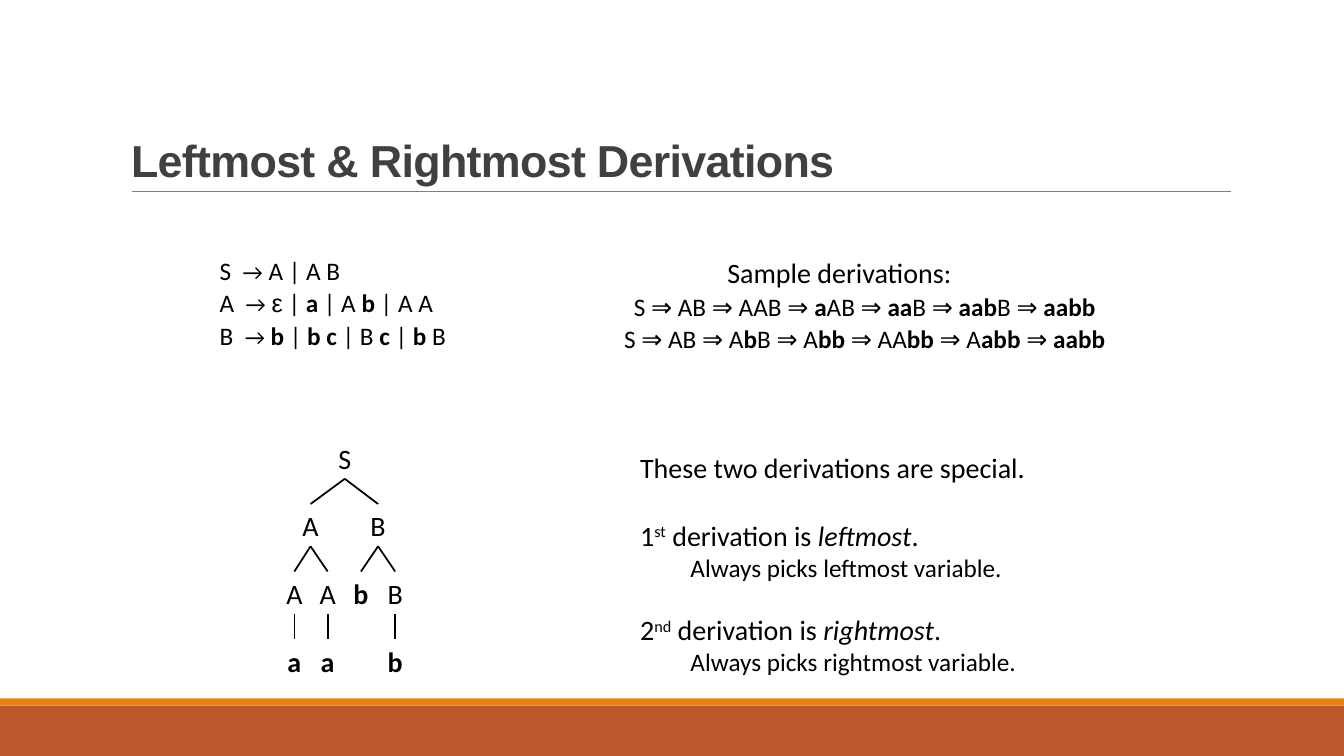
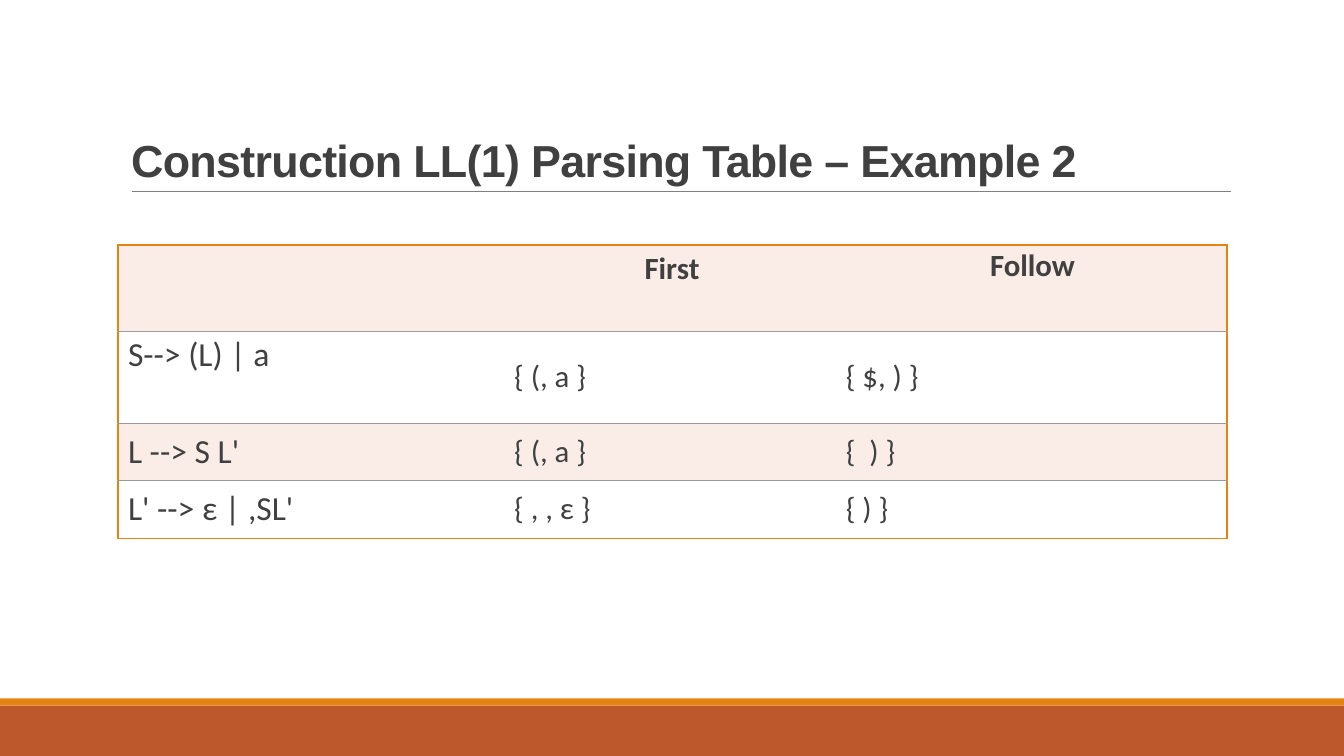
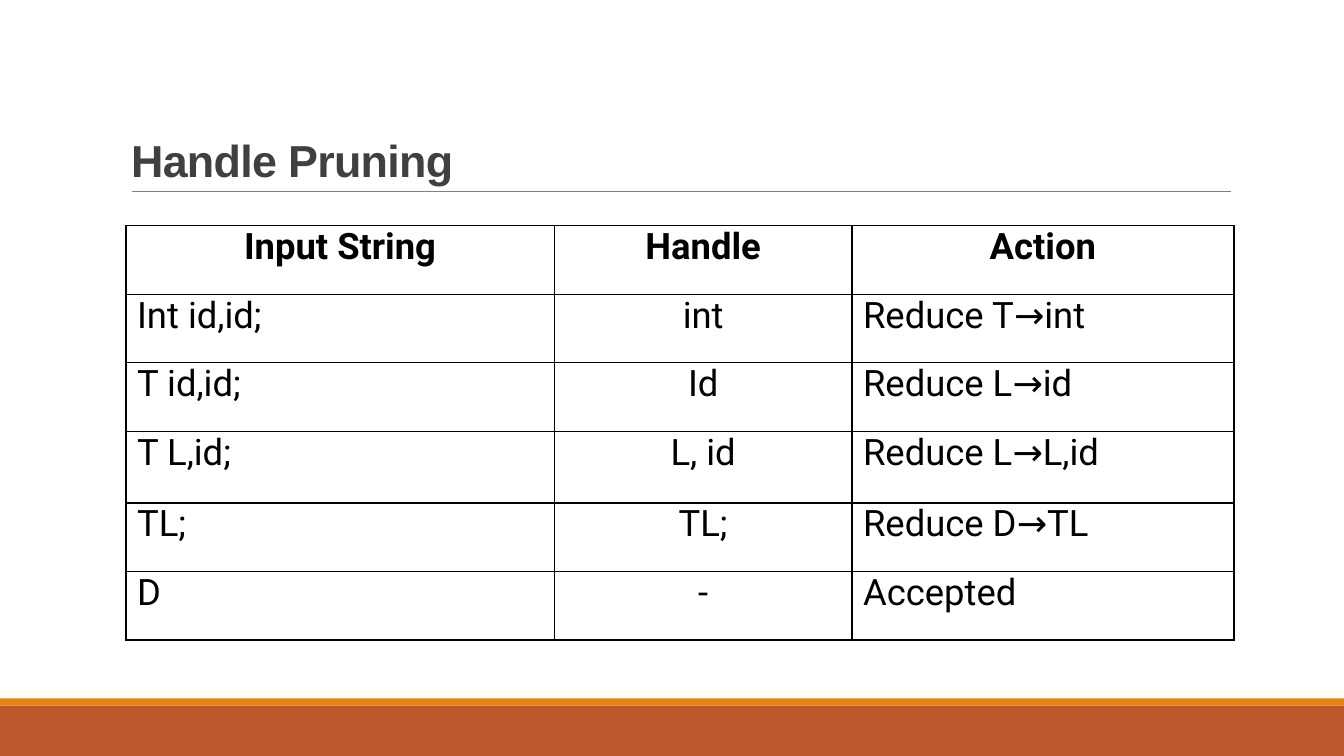
import dataclasses
import typing

import lxml.etree
import pptx
import pptx.dml.color
import pptx.enum.shapes
import pptx.enum.text
import pptx.oxml.ns
import pptx.util

EMU_PER_PX = 9144
PAGE_WIDTH, PAGE_HEIGHT = 1333, 750
BLACK, DARK, GRAY, WHITE = "000000", "404040", "808080", "FFFFFF"
ORANGE, RUST, BLUSH, RULE = "E48312", "BD582C", "FAEDE7", "9B9B9B"
LEFT = pptx.enum.text.PP_ALIGN.LEFT
CENTER = pptx.enum.text.PP_ALIGN.CENTER
TOP = pptx.enum.text.MSO_ANCHOR.TOP
MIDDLE = pptx.enum.text.MSO_ANCHOR.MIDDLE
MARKS = {
    "*": {"bold": True},
    "_": {"italic": True},
    "^": {"raised": True},
    "~": {"size": 16},
    "@": {"font": "Arial"},
}


@dataclasses.dataclass(frozen=True)
class Line:
    text: str
    size: int = 18
    indent: int = 0
    before: float = 0


@dataclasses.dataclass(frozen=True)
class Node:
    text: str
    column: int
    row: int
    parent: typing.Optional[int] = None


@dataclasses.dataclass(frozen=True)
class Cell:
    text: str = ""
    size: int = 22
    anchor: typing.Any = MIDDLE
    align: typing.Any = LEFT
    side: int = 8
    top: int = 5


TREE = [
    Node("S", 0, 0),
    Node("A", -2, 1, 0),
    Node("B", 2, 1, 0),
    Node("A", -3, 2, 1),
    Node("A", -1, 2, 1),
    Node("*b*", 1, 2, 2),
    Node("B", 3, 2, 2),
    Node("*a*", -3, 3, 3),
    Node("*a*", -1, 3, 4),
    Node("*b*", 3, 3, 6),
]
GRAMMAR = [
    Line("S  ~→~ A | A B"),
    Line("A  ~→~ @ε@ | *a* | A *b* | A A", before=3.6),
    Line("B  ~→~ *b* | *b c* | B *c* | *b* B", before=3.6),
]
DERIVATIONS = [
    Line("Sample derivations:", 20),
    Line("S ⇒ AB ⇒ AAB ⇒ *a*AB ⇒ *aa*B ⇒ *aab*B ⇒ *aabb*", indent=50, before=3.6),
    Line("S ⇒ AB ⇒ A*b*B ⇒ A*bb *⇒ AA*bb *⇒ A*abb *⇒ *aabb*", indent=50, before=3.6),
]
REMARKS = [
    Line("These two derivations are special.", 20),
    Line("1^st^ derivation is _leftmost_.", 20, before=24.4),
    Line("Always picks leftmost variable.", indent=50),
    Line("2^nd^ derivation is _rightmost_.", 20, before=22),
    Line("Always picks rightmost variable.", indent=50),
]
SET_ROWS = [
    ("S--> (L) | a", "{ (, a }", "{ $, ) }"),
    ("L --> S L'", "{ (, a }", "{  ) }"),
    ("L' --> ε | ,SL'", "{ , , ε }", "{ ) }"),
]
HANDLE_ROWS = [
    ("*Input String*", "*Handle*", "*Action*"),
    ("Int id,id;", "int", "Reduce T→int"),
    ("T id,id;", "Id", "Reduce L→id"),
    ("T L,id;", "L, id", "Reduce L→L,id"),
    ("TL;", "TL;", "Reduce D→TL"),
    ("D", "-", "Accepted"),
]


def px(length: int) -> pptx.util.Emu:
    return pptx.util.Emu(length * EMU_PER_PX)


def rgb(color: str) -> pptx.dml.color.RGBColor:
    return pptx.dml.color.RGBColor.from_string(color)


def split_marks(text: str) -> typing.Iterator[tuple[str, dict]]:
    mark, piece = "", ""
    for letter in text:
        if letter in MARKS:
            if piece:
                yield piece, MARKS.get(mark, {})
            mark, piece = "" if mark else letter, ""
        else:
            piece += letter
    if piece:
        yield piece, MARKS.get(mark, {})


def write(frame, text: str, *, size: int, font: str = "Calibri", color: str = BLACK,
          bold: bool = False, align=LEFT, indent: int = 0, spacing: float = 1.0,
          before: float = 0, tracking: int = 0) -> None:
    para = frame.add_paragraph() if frame.text else frame.paragraphs[0]
    para.alignment = align
    para.line_spacing = spacing
    para.space_before = pptx.util.Pt(before)
    if indent:
        properties = para._p.get_or_add_pPr()
        properties.set("marL", str(px(indent)))
        properties.set("indent", "0")
    for piece, style in split_marks(text):
        span = para.add_run()
        span.text = piece
        span.font.name = style.get("font", font)
        span.font.size = pptx.util.Pt(style.get("size", size))
        span.font.bold = style.get("bold", bold)
        span.font.italic = style.get("italic", False)
        span.font.color.rgb = rgb(color)
        if style.get("raised"):
            span._r.get_or_add_rPr().set("baseline", "30000")
        if tracking:
            span._r.get_or_add_rPr().set("spc", str(tracking))


def add_text(page, left: int, top: int, width: int, height: int,
             lines: list[Line], *, align=LEFT, spacing: float = 1.0):
    box = page.shapes.add_textbox(px(left), px(top), px(width), px(height))
    box.text_frame.word_wrap = False
    for line in lines:
        write(box.text_frame, line.text, size=line.size, indent=line.indent,
              before=line.before, align=align, spacing=spacing)
    return box


def add_band(page, top: int, height: int, color: str) -> None:
    band = page.shapes.add_shape(pptx.enum.shapes.MSO_SHAPE.RECTANGLE,
                                 px(0), px(top), px(PAGE_WIDTH), px(height))
    band.shadow.inherit = False
    band.fill.solid()
    band.fill.fore_color.rgb = rgb(color)
    band.line.fill.background()


def add_line(page, start: tuple[int, int], end: tuple[int, int], color: str, weight: float):
    line = page.shapes.add_connector(pptx.enum.shapes.MSO_CONNECTOR.STRAIGHT,
                                     px(start[0]), px(start[1]), px(end[0]), px(end[1]))
    line.line.color.rgb = rgb(color)
    line.line.width = pptx.util.Pt(weight)
    lxml.etree.SubElement(line._element.spPr, pptx.oxml.ns.qn("a:effectLst"))
    return line


def add_page(deck, heading: str):
    page = deck.slides.add_slide(deck.slide_layouts[5])
    add_band(page, 700, 50, RUST)
    add_band(page, 693, 7, ORANGE)
    add_line(page, (131, 190), (1221, 190), GRAY, 0.5)
    title = page.shapes.title
    title.left, title.top, title.width, title.height = px(120), px(31), px(1100), px(159)
    frame = title.text_frame
    frame.word_wrap = True
    frame.auto_size = pptx.enum.text.MSO_AUTO_SIZE.NONE
    frame.vertical_anchor = pptx.enum.text.MSO_ANCHOR.BOTTOM
    write(frame, heading, size=32, font="Arial", color=DARK, bold=True,
          spacing=0.85, tracking=-50)
    return page


def add_tree(page, center: int, top: int) -> None:
    width, height, row_pitch = 40, 42, 67
    boxes = []
    for node in TREE:
        middle = center + node.column * 50 // 3
        box = add_text(page, middle - width // 2, top + node.row * row_pitch, width, height,
                       [Line(node.text, 20)], align=CENTER)
        boxes.append(box)
        if node.parent is not None:
            branch = add_line(page, (center, top), (middle, top), BLACK, 1.25)
            branch.begin_connect(boxes[node.parent], 2)
            branch.end_connect(box, 0)


def set_borders(cell, colors: dict[str, typing.Optional[str]]) -> None:
    properties = cell._tc.get_or_add_tcPr()
    for index, side in enumerate("LRTB"):
        edge = lxml.etree.Element(pptx.oxml.ns.qn(f"a:ln{side}"), w=str(pptx.util.Pt(1)))
        color = colors[side]
        fill = lxml.etree.SubElement(
            edge, pptx.oxml.ns.qn("a:solidFill" if color else "a:noFill"))
        if color:
            lxml.etree.SubElement(fill, pptx.oxml.ns.qn("a:srgbClr"), val=color)
        properties.insert(index, edge)


def add_grid(page, left: int, top: int, widths: list[int], heights: list[int],
             rows: list[list[Cell]], *, font: str, color: str, spacing: float,
             fills: list[str], outer: str, across: str, down: typing.Optional[str]) -> None:
    grid = page.shapes.add_table(len(heights), len(widths), px(left), px(top),
                                 px(sum(widths)), px(sum(heights))).table
    grid.first_row = False
    grid.horz_banding = False
    for column, width in zip(grid.columns, widths):
        column.width = px(width)
    for row, height in zip(grid.rows, heights):
        row.height = px(height)
    last_row, last_column = len(heights) - 1, len(widths) - 1
    for r, row in enumerate(rows):
        for c, content in enumerate(row):
            cell = grid.cell(r, c)
            cell.vertical_anchor = content.anchor
            cell.margin_left = cell.margin_right = px(content.side)
            cell.margin_top = cell.margin_bottom = px(content.top)
            if fills:
                cell.fill.solid()
                cell.fill.fore_color.rgb = rgb(fills[r % len(fills)])
            else:
                cell.fill.background()
            set_borders(cell, {
                "L": outer if c == 0 else down,
                "R": outer if c == last_column else down,
                "T": outer if r == 0 else across,
                "B": outer if r == last_row else across,
            })
            write(cell.text_frame, content.text, size=content.size, font=font,
                  color=color, align=content.align, spacing=spacing)


def build_derivations(deck) -> None:
    page = add_page(deck, "Leftmost & Rightmost Derivations")
    add_text(page, 508, 252, 649, 107, DERIVATIONS, align=CENTER, spacing=0.9)
    add_text(page, 208, 252, 282, 103, GRAMMAR, spacing=0.9)
    add_tree(page, 342, 433)
    add_text(page, 625, 442, 481, 236, REMARKS)


def build_parsing_table(deck) -> None:
    page = add_page(deck, "Construction LL(1) Parsing Table – Example 2")
    rows = [[Cell(), Cell("*First*", anchor=TOP, align=CENTER, top=8),
             Cell("*Follow*", anchor=TOP, align=CENTER)]]
    for index, (rule, *sets) in enumerate(SET_ROWS):
        rule_cell = Cell(rule, 24, TOP if index == 0 else MIDDLE, side=10)
        rows.append([rule_cell, *map(Cell, sets)])
    add_grid(page, 117, 243, [385, 329, 386], [86, 91, 57, 57], rows,
             font="Calibri", color=DARK, spacing=0.9, fills=[BLUSH, WHITE],
             outer=ORANGE, across=RULE, down=None)


def build_handle_pruning(deck) -> None:
    page = add_page(deck, "Handle Pruning")
    rows = [[Cell(text, 26, TOP, CENTER if r == 0 or c == 1 else LEFT, 11, 0)
             for c, text in enumerate(row)] for r, row in enumerate(HANDLE_ROWS)]
    add_grid(page, 125, 224, [425, 295, 379], [68, 68, 68, 71, 68, 68], rows,
             font="Roboto", color=BLACK, spacing=1.0, fills=[],
             outer=BLACK, across=BLACK, down=BLACK)


def main() -> None:
    deck = pptx.Presentation()
    deck.slide_width, deck.slide_height = px(PAGE_WIDTH), px(PAGE_HEIGHT)
    build_derivations(deck)
    build_parsing_table(deck)
    build_handle_pruning(deck)
    deck.save("out.pptx")


if __name__ == "__main__":
    main()
